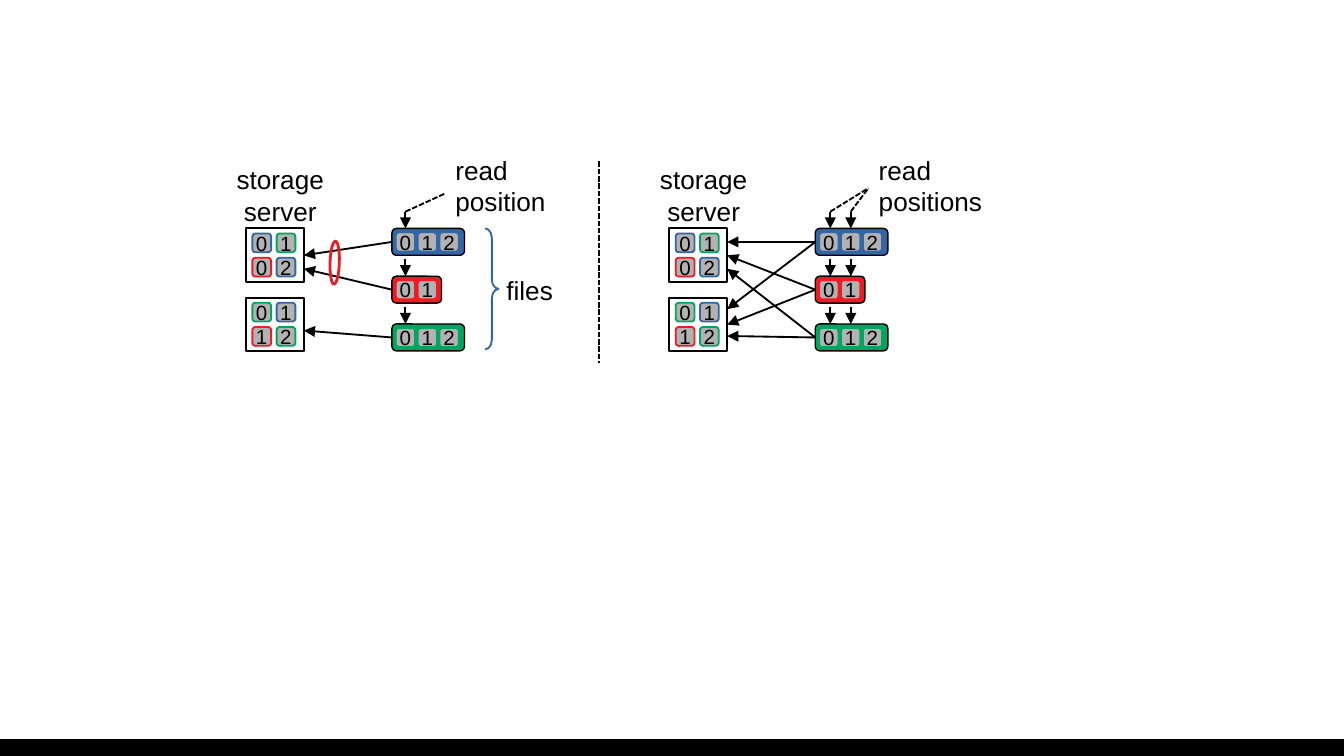
from lxml import etree
from pptx import Presentation
from pptx.dml.color import RGBColor
from pptx.enum import dml, shapes, text
from pptx.oxml.ns import qn
from pptx.util import Pt

THEME = {
    "black": "000000", "blue": "3465A4", "green": "00A65D", "red": "ED1C24",
    "tile": "B2B2B2", "font": "Arial", "label": 14, "digit": 11,
    "line": 1, "file_line": 0.75, "ring_line": 1.5,
}

# Blocks as (digit, colour of the file it belongs to), two per row
SERVERS = [
    [("0", "blue"), ("1", "green"), ("0", "red"), ("2", "blue")],
    [("0", "green"), ("1", "blue"), ("1", "red"), ("2", "green")],
]
FILES = [("blue", 3), ("red", 2), ("green", 3)]

# Transfers: (file, server, end height), None ends at the middle of the server's side
PANELS = [
    {
        "left": 131.8, "label": "read position", "heads": [7.2], "hint": (106.6, 103.7),
        "transfers": [(0, 0, None), (1, 0, 144), (2, 1, 177.1)],
    },
    {
        "left": 358.6, "label": "read positions", "heads": [8, 19], "hint": (106.6, 100.8),
        "transfers": [(0, 0, 129.6), (0, 1, 165.6), (1, 1, None),
                      (1, 0, None), (2, 0, 144), (2, 1, 180)],
    },
]

TOP = 122.4
SERVER_W, SERVER_H, SERVER_PITCH = 31, 28.8, 37.1
TILE, SERVER_TILE_PITCH, FILE_TILE_PITCH = 10.1, 13, 11.7
FILE_X, FILE_H, FILE_PITCH = 78.2, 14.4, 25.6
FILE_WIDTHS = {2: 26.6, 3: 38.9}
HEAD_LENGTH = 9

presentation = Presentation()
presentation.slide_width, presentation.slide_height = Pt(720), Pt(405)
slide = presentation.slides.add_slide(presentation.slide_layouts[6])


def color(name):
    return RGBColor.from_string(THEME[name])


def add_shape(kind, x, y, width, height, fill=None, line=None, weight=THEME["line"]):
    shape = slide.shapes.add_shape(kind, Pt(x), Pt(y), Pt(width), Pt(height))
    shape.shadow.inherit = False
    if fill:
        shape.fill.solid()
        shape.fill.fore_color.rgb = color(fill)
    else:
        shape.fill.background()
    if line:
        shape.line.color.rgb = color(line)
        shape.line.width = Pt(weight)
    else:
        shape.line.fill.background()
    return shape


def style_text(frame, size, align):
    for paragraph in frame.paragraphs:
        paragraph.alignment = align
        paragraph.font.name = THEME["font"]
        paragraph.font.size = Pt(THEME[size])
        paragraph.font.color.rgb = color("black")


def add_tile(x, y, digit, line, weight):
    tile = add_shape(shapes.MSO_SHAPE.ROUNDED_RECTANGLE, x, y, TILE, TILE, "tile", line, weight)
    frame = tile.text_frame
    frame.margin_left = frame.margin_right = frame.margin_top = frame.margin_bottom = 0
    frame.word_wrap = False
    frame.vertical_anchor = text.MSO_ANCHOR.MIDDLE
    frame.text = digit
    style_text(frame, "digit", text.PP_ALIGN.CENTER)


def add_label(x, y, width, height, words, align=text.PP_ALIGN.LEFT):
    frame = slide.shapes.add_textbox(Pt(x), Pt(y), Pt(width), Pt(height)).text_frame
    frame.word_wrap = True
    frame.text = words
    style_text(frame, "label", align)


def add_line(start, end, arrow=False, dashed=False):
    line = slide.shapes.add_connector(
        shapes.MSO_CONNECTOR.STRAIGHT, *(Pt(value) for value in (*start, *end)))
    line.line.color.rgb = color("black")
    line.line.width = Pt(THEME["line"])
    if dashed:
        line.line.dash_style = dml.MSO_LINE.SQUARE_DOT
    properties = line.element.spPr
    if arrow:
        etree.SubElement(properties.find(qn("a:ln")), qn("a:tailEnd"), type="triangle")
    etree.SubElement(properties, qn("a:effectLst"))
    return line


def add_server(x, y, blocks):
    server = add_shape(shapes.MSO_SHAPE.RECTANGLE, x, y, SERVER_W, SERVER_H, line="black")
    for index, (digit, owner) in enumerate(blocks):
        row, column = divmod(index, 2)
        add_tile(x + 3.4 + column * SERVER_TILE_PITCH, y + 2.7 + row * SERVER_TILE_PITCH,
                 digit, owner, THEME["line"])
    return server


def add_file(x, y, fill, count):
    file = add_shape(shapes.MSO_SHAPE.ROUNDED_RECTANGLE, x, y, FILE_WIDTHS[count], FILE_H,
                     fill, "black", THEME["file_line"])
    for index in range(count):
        add_tile(x + 2.2 + index * FILE_TILE_PITCH, y + 2.2, str(index), fill,
                 THEME["file_line"])
    return file


def add_panel(panel):
    left = panel["left"]
    file_left, server_right = left + FILE_X, left + SERVER_W
    servers = [add_server(left, TOP + index * SERVER_PITCH, blocks)
               for index, blocks in enumerate(SERVERS)]
    file_tops = [TOP + index * FILE_PITCH for index in range(len(FILES))]
    files = [add_file(file_left, y, *file) for y, file in zip(file_tops, FILES)]

    for file, server, end_y in panel["transfers"]:
        start = (file_left, file_tops[file] + FILE_H / 2)
        arrow = add_line(start, (server_right, end_y or TOP), arrow=True)
        arrow.begin_connect(files[file], 1)
        if end_y is None:
            arrow.end_connect(servers[server], 3)

    hint_x, hint_y = panel["hint"]
    for offset in panel["heads"]:
        x = file_left + offset
        for y in file_tops:
            add_line((x, y - HEAD_LENGTH), (x, y), arrow=True)
        add_line((x, TOP - HEAD_LENGTH), (left + hint_x, hint_y), dashed=True)

    add_label(left - 14, 84.2, 64.8, 38.9, "storage\nserver", text.PP_ALIGN.CENTER)
    add_label(left + 105.1, 79.2, 72, 38.9, panel["label"])


add_shape(shapes.MSO_SHAPE.RECTANGLE, 0, 396, 720, 9, "black")
for panel in PANELS:
    add_panel(panel)

ring = add_shape(shapes.MSO_SHAPE.OVAL, 167.8, 138.2, 23, 5, line="red",
                 weight=THEME["ring_line"])
ring.rotation = 271.9
brace = add_shape(shapes.MSO_SHAPE.RIGHT_BRACE, 259.9, TOP, 7.2, 64.8, line="blue")
brace.adjustments[0] = 0.7
add_label(264.2, 143.3, 46, 23, "files")
add_line((321.1, 86.4), (321.1, 194.4), dashed=True)

presentation.save("out.pptx")
